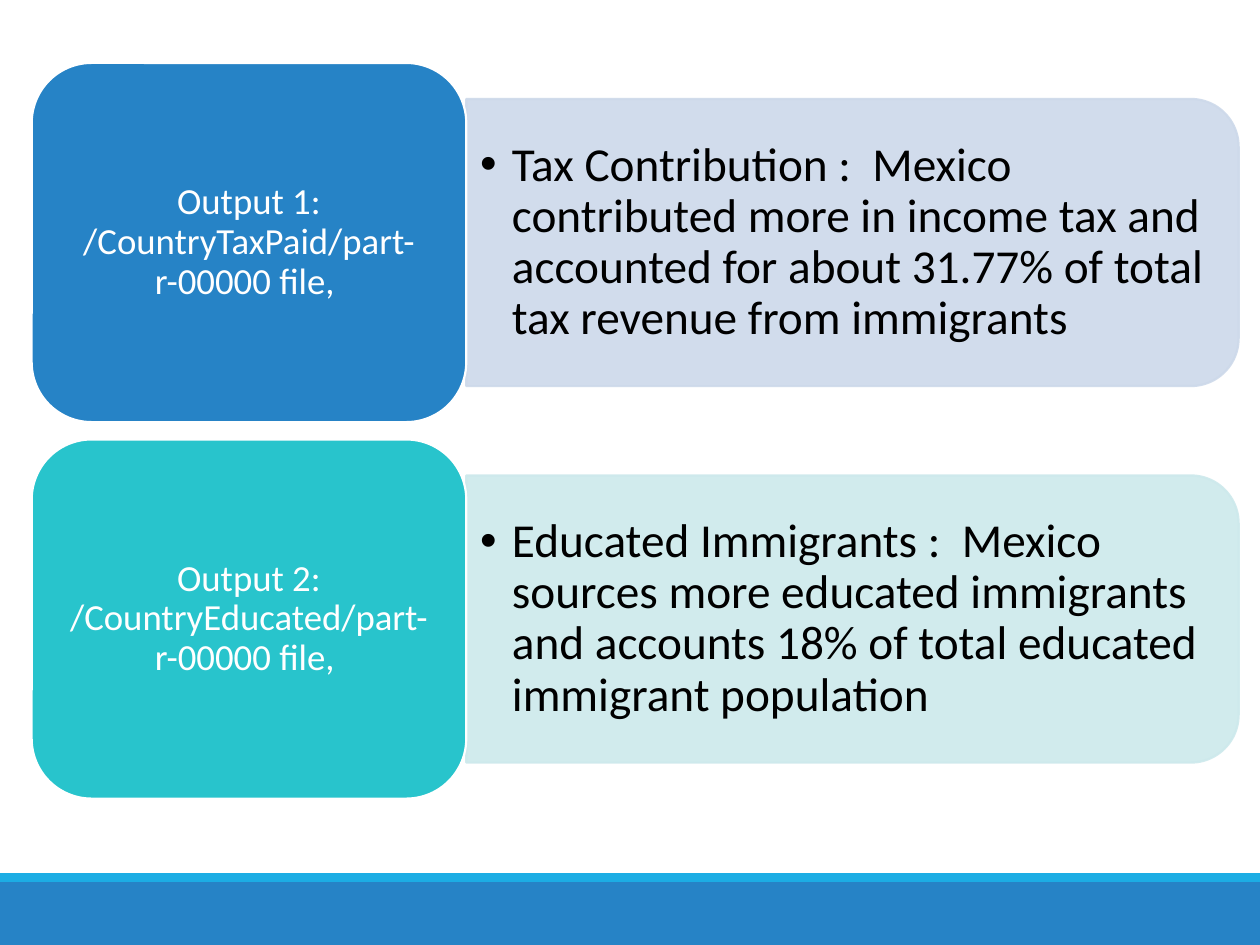
from lxml.etree import SubElement
from pptx import Presentation
from pptx.dml.color import RGBColor
from pptx.enum.shapes import MSO_SHAPE as Shape
from pptx.enum.text import MSO_ANCHOR as Anchor, MSO_AUTO_SIZE as AutoSize, PP_ALIGN as Align
from pptx.oxml.ns import qn
from pptx.util import Cm, Pt

BLUE = RGBColor(0x26, 0x83, 0xC6)
SKY = RGBColor(0x1C, 0xAD, 0xE4)
TEAL = RGBColor(0x28, 0xC4, 0xCC)
PALE_BLUE = RGBColor(0xCD, 0xD9, 0xEA)
PALE_TEAL = RGBColor(0xCD, 0xE9, 0xEC)
WHITE = RGBColor(0xFF, 0xFF, 0xFF)
BLACK = RGBColor(0, 0, 0)

SLIDE_WIDTH, SLIDE_HEIGHT = 25.4, 19.05
FIRST_MIDDLE, ROW_STEP = 4.89, 7.59
LABEL_LEFT, LABEL_WIDTH, LABEL_HEIGHT = 0.64, 8.76, 7.24
PANEL_LEFT, PANEL_WIDTH, PANEL_HEIGHT = 9.4, 15.57, 5.79
LIST_WIDTH, LIST_HEIGHT = 15.29, 5.21

ROWS = [
    ("Output 1: /CountryTaxPaid/part-r-00000 file, ", BLUE, PALE_BLUE,
     "Tax Contribution :  Mexico contributed more in income tax and "
     "accounted for about 31.77% of total tax revenue from immigrants"),
    ("Output 2: /CountryEducated/part-r-00000 file, ", TEAL, PALE_TEAL,
     "Educated Immigrants :  Mexico sources more educated immigrants "
     "and accounts 18% of total educated immigrant population"),
]


class SlideBuilder:
    font = "Calibri"
    label_size = Pt(21)
    list_size = Pt(27)
    line_width = Pt(1.25)

    def __init__(self, slide):
        self.slide = slide

    def block(self, kind, left, top, width, height, fill, line=None):
        shape = self.slide.shapes.add_shape(kind, Cm(left), Cm(top), Cm(width), Cm(height))
        shape.shadow.inherit = False
        shape.fill.solid()
        shape.fill.fore_color.rgb = fill
        if line is None:
            shape.line.fill.background()
        else:
            shape.line.color.rgb = line
            shape.line.width = self.line_width
        return shape

    def set_text(self, shape, text, size, color, inset_x, inset_y):
        frame = shape.text_frame
        frame.word_wrap = True
        frame.auto_size = AutoSize.NONE
        frame.vertical_anchor = Anchor.MIDDLE
        frame.margin_left = frame.margin_right = Cm(inset_x)
        frame.margin_top = frame.margin_bottom = Cm(inset_y)
        paragraph = frame.paragraphs[0]
        paragraph.line_spacing = 0.9
        paragraph.space_before = Pt(0)
        run = paragraph.add_run()
        run.text = text
        run.font.name = self.font
        run.font.size = size
        run.font.color.rgb = color
        return paragraph

    def panel(self, middle, color):
        # The shape is turned a quarter, so its width and height swap
        left = PANEL_LEFT + (PANEL_WIDTH - PANEL_HEIGHT) / 2
        shape = self.block(Shape.ROUND_2_SAME_RECTANGLE, left, middle - PANEL_WIDTH / 2,
                           PANEL_HEIGHT, PANEL_WIDTH, color, color)
        shape.rotation = 90
        for solid_color in shape._element.spPr.iter(qn("a:srgbClr")):
            SubElement(solid_color, qn("a:alpha"), val="90000")

    def bullet_list(self, placeholder, middle, text):
        placeholder.left, placeholder.top = Cm(PANEL_LEFT), Cm(middle - LIST_HEIGHT / 2)
        placeholder.width, placeholder.height = Cm(LIST_WIDTH), Cm(LIST_HEIGHT)
        paragraph = self.set_text(placeholder, text, self.list_size, BLACK, 0.28, 0.15)
        properties = paragraph._p.get_or_add_pPr()
        properties.set("marL", str(Cm(0.64)))
        properties.set("indent", str(-Cm(0.64)))
        # Bring the list in front of its panel
        self.slide.shapes._spTree.append(placeholder._element)

    def label(self, middle, text, color):
        shape = self.block(Shape.ROUNDED_RECTANGLE, LABEL_LEFT, middle - LABEL_HEIGHT / 2,
                           LABEL_WIDTH, LABEL_HEIGHT, color, WHITE)
        paragraph = self.set_text(shape, text, self.label_size, WHITE, 0.23, 0.1)
        paragraph.alignment = Align.CENTER


def main():
    presentation = Presentation()
    presentation.slide_width = Cm(SLIDE_WIDTH)
    presentation.slide_height = Cm(SLIDE_HEIGHT)
    slide = presentation.slides.add_slide(presentation.slide_layouts[3])
    title, *lists = slide.placeholders
    title._element.getparent().remove(title._element)
    builder = SlideBuilder(slide)

    # Footer bands
    builder.block(Shape.RECTANGLE, 0, 17.78, SLIDE_WIDTH, 1.27, BLUE)
    builder.block(Shape.RECTANGLE, 0, 17.6, SLIDE_WIDTH, 0.18, SKY)

    # Output rows: panel, finding and label
    for index, (name, color, pale, finding) in enumerate(ROWS):
        middle = FIRST_MIDDLE + index * ROW_STEP
        builder.panel(middle, pale)
        builder.bullet_list(lists[index], middle, finding)
        builder.label(middle, name, color)

    presentation.save("out.pptx")


if __name__ == "__main__":
    main()
